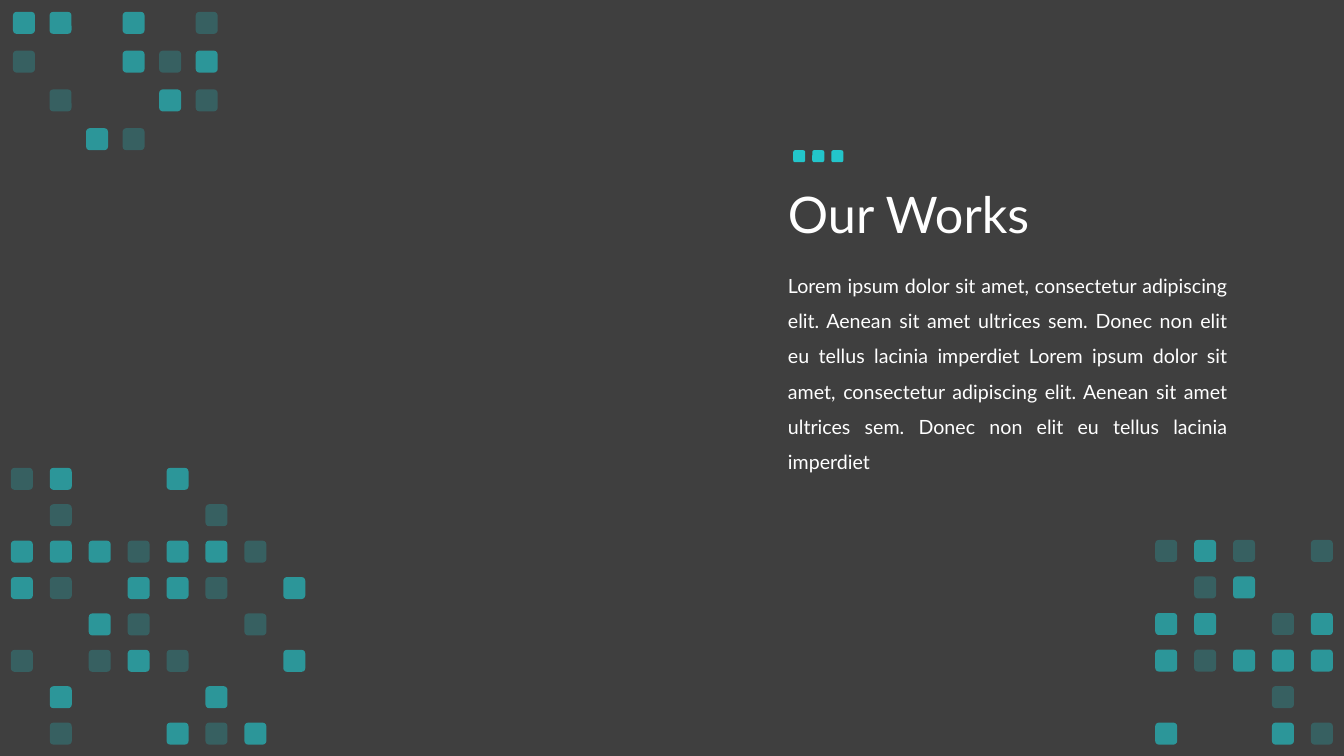
from lxml import etree
from pptx import Presentation
from pptx.dml.color import RGBColor
from pptx.enum.shapes import MSO_SHAPE
from pptx.enum.text import MSO_ANCHOR, PP_ALIGN
from pptx.oxml.ns import qn
from pptx.util import Pt

TEAL, WHITE, GRAY = "23C5CA", "FFFFFF", "3F3F3F"

# Opacity in percent for each mark in a grid
SHADES = {"#": 65, "o": 25, "*": 100}

TOP = ["##.#.o",
       "o..#o#",
       ".o..#o",
       "..#o.."]
LEFT = ["o#..#...",
        ".o...o..",
        "###o##o.",
        "#o.##o.#",
        "..#o..o.",
        "o.o#o..#",
        ".#...#..",
        ".o..#o#."]
RIGHT = ["o#o.o",
         ".o#..",
         "##.o#",
         "#o###",
         "...o.",
         "#..#o"]
DOTS = ["***"]

BODY = ("Lorem ipsum dolor sit amet, consectetur adipiscing elit. "
        "Aenean sit amet ultrices sem. Donec non elit eu tellus lacinia "
        "imperdiet Lorem ipsum dolor sit amet, consectetur adipiscing elit. "
        "Aenean sit amet ultrices sem. Donec non elit eu tellus lacinia "
        "imperdiet")


def paint(fill, color, alpha=100):
    fill.solid()
    fill.fore_color.rgb = RGBColor.from_string(color)
    if alpha < 100:
        tone = fill._xPr.find(".//" + qn("a:srgbClr"))
        etree.SubElement(tone, qn("a:alpha")).set("val", str(alpha * 1000))


def add_tile(group, x, y, size, alpha):
    tile = group.shapes.add_shape(MSO_SHAPE.ROUNDED_RECTANGLE,
                                  Pt(x), Pt(y), Pt(size), Pt(size))
    tile.shadow.inherit = False
    tile.line.fill.background()
    paint(tile.fill, TEAL, alpha)


def add_grid(slide, rows, x, y, dx, dy, size=15.7):
    group = slide.shapes.add_group_shape()
    for r, row in enumerate(rows):
        for c, mark in enumerate(row):
            if mark in SHADES:
                add_tile(group, x + c * dx, y + r * dy, size, SHADES[mark])


def add_text(slide, text, box, anchor, para, size):
    frame = slide.shapes.add_textbox(*map(Pt, box)).text_frame
    frame.word_wrap = True
    frame.vertical_anchor = anchor
    line = frame.paragraphs[0]
    for name, value in para.items():
        setattr(line, name, value)
    run = line.add_run()
    run.text = text
    for name, value in {"name": "Lato", "size": Pt(size)}.items():
        setattr(run.font, name, value)
    run.font.color.rgb = RGBColor.from_string(WHITE)


def main():
    deck = Presentation()
    deck.slide_width, deck.slide_height = Pt(960), Pt(540)
    slide = deck.slides.add_slide(deck.slide_layouts[6])
    paint(slide.background.fill, GRAY)

    # Corner mosaics
    add_grid(slide, TOP, 9.3, 8.5, 26.1, 27.7)
    add_grid(slide, LEFT, 7.8, 334.2, 27.8, 26)
    add_grid(slide, RIGHT, 825.2, 385.7, 27.8, 26.1)

    # Heading and body
    add_text(slide, "Our Works", (555.8, 103, 390, 104.4), MSO_ANCHOR.MIDDLE,
             {"line_spacing": 0.9}, 36)
    add_text(slide, BODY, (555.8, 183.6, 328.3, 131), MSO_ANCHOR.TOP,
             {"line_spacing": 1.5, "alignment": PP_ALIGN.JUSTIFY}, 14)

    # Accent dots above the heading
    add_grid(slide, DOTS, 566.6, 107.3, 13.6, 0, 8.6)

    deck.save("out.pptx")


if __name__ == "__main__":
    main()
